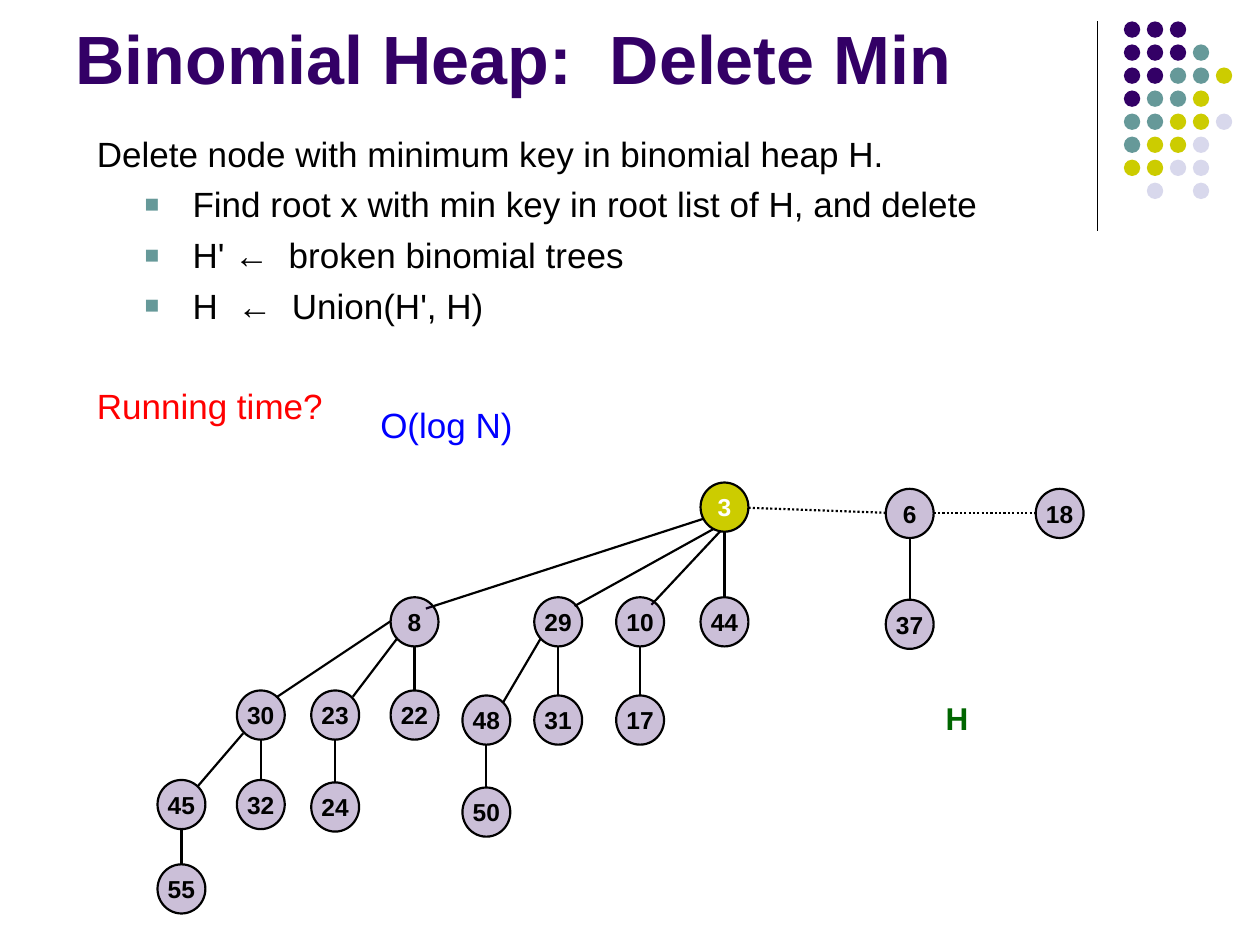
import lxml.etree
import pptx
import pptx.dml.color
import pptx.enum.dml
import pptx.enum.shapes
import pptx.enum.text
import pptx.oxml.ns
import pptx.util

Inches = pptx.util.Inches
Pt = pptx.util.Pt
qn = pptx.oxml.ns.qn
Align = pptx.enum.text.PP_ALIGN
Anchor = pptx.enum.text.MSO_ANCHOR

PURPLE, TEAL, LIME, PALE = "330066", "669999", "CCCC00", "D8D8EC"
BLACK, WHITE = "000000", "FFFFFF"
NODE_WIDTH, NODE_HEIGHT = 0.38, 0.39

# Corner ornament: one letter per dot
DOT_COLORS = {"p": PURPLE, "t": TEAL, "l": LIME, "w": PALE}
DOT_ROWS = ["ppp", "pppt", "ppttl", "pttl", "ttllw", "tllw", "llww", " w w"]

# Heap nodes: key -> left, top
NODES = {
    3: (5.56, 3.83), 6: (7.03, 3.88), 18: (8.22, 3.88), 37: (7.03, 4.76),
    8: (3.10, 4.74), 29: (4.24, 4.74), 10: (4.89, 4.74), 44: (5.56, 4.74),
    30: (1.88, 5.48), 23: (2.47, 5.48), 22: (3.10, 5.48),
    48: (3.67, 5.52), 31: (4.24, 5.52), 17: (4.89, 5.52),
    45: (1.25, 6.19), 32: (1.88, 6.19), 24: (2.47, 6.21),
    50: (3.67, 6.25), 55: (1.25, 6.86),
}
VERTICAL_EDGES = [(3, 44), (6, 37), (8, 22), (29, 31), (10, 17),
                  (30, 32), (23, 24), (48, 50), (45, 55)]
SLANTED_EDGES = [
    (4.56, 4.81, 5.75, 4.15), (5.17, 4.80, 5.76, 4.17),
    (3.38, 4.83, 5.73, 4.07), (1.57, 6.24, 1.93, 5.82),
    (2.80, 5.53, 3.15, 5.07), (2.20, 5.53, 3.10, 4.93),
    (3.99, 5.58, 4.29, 5.07),
]
ROOT_LINKS = [(5.94, 4.03, 7.03, 4.07), (7.41, 4.07, 8.22, 4.07)]


def color(value):
    return pptx.dml.color.RGBColor.from_string(value)


class HeapSlide:
    font_name = "Arial"

    def __init__(self, presentation):
        self.slide = presentation.slides.add_slide(presentation.slide_layouts[5])

    def run(self, paragraph, text, size, hex_color, bold=False):
        run = paragraph.add_run()
        run.text = text
        run.font.name = self.font_name
        run.font.size = Pt(size)
        run.font.bold = bold
        run.font.color.rgb = color(hex_color)

    def title(self, text, left, top, width, height):
        shape = self.slide.shapes.title
        shape.left, shape.top = Inches(left), Inches(top)
        shape.width, shape.height = Inches(width), Inches(height)
        shape.text_frame.vertical_anchor = Anchor.BOTTOM
        shape.text_frame.auto_size = pptx.enum.text.MSO_AUTO_SIZE.NONE
        paragraph = shape.text_frame.paragraphs[0]
        paragraph.alignment = Align.LEFT
        self.run(paragraph, text, 39, PURPLE, True)

    def text_frame(self, left, top, width, height, wrap=True):
        box = self.slide.shapes.add_textbox(
            Inches(left), Inches(top), Inches(width), Inches(height))
        box.text_frame.word_wrap = wrap
        return box.text_frame

    def label(self, text, box, size, hex_color, bold=False, align=Align.LEFT):
        frame = self.text_frame(*box)
        paragraph = frame.paragraphs[0]
        paragraph.alignment = align
        self.run(paragraph, text, size, hex_color, bold)

    def bullet(self, paragraph):
        properties = paragraph._p.get_or_add_pPr()
        properties.set("marL", str(Inches(0.76)))
        properties.set("indent", str(Inches(-0.38)))
        bullet_color = lxml.etree.SubElement(properties, qn("a:buClr"))
        lxml.etree.SubElement(bullet_color, qn("a:srgbClr"), val=TEAL)
        lxml.etree.SubElement(properties, qn("a:buSzPct"), val="70000")
        lxml.etree.SubElement(properties, qn("a:buFont"), typeface=self.font_name)
        lxml.etree.SubElement(properties, qn("a:buChar"), char="■")

    def line(self, x1, y1, x2, y2, width=1.25, dotted=False):
        connector = self.slide.shapes.add_connector(
            pptx.enum.shapes.MSO_CONNECTOR.STRAIGHT,
            Inches(x1), Inches(y1), Inches(x2), Inches(y2))
        connector.line.color.rgb = color(BLACK)
        connector.line.width = Pt(width)
        if dotted:
            connector.line.dash_style = pptx.enum.dml.MSO_LINE.ROUND_DOT
        lxml.etree.SubElement(connector._element.spPr, qn("a:effectLst"))

    def ellipse(self, left, top, width, height, fill):
        shape = self.slide.shapes.add_shape(
            pptx.enum.shapes.MSO_SHAPE.OVAL,
            Inches(left), Inches(top), Inches(width), Inches(height))
        shape.shadow.inherit = False
        shape.fill.solid()
        shape.fill.fore_color.rgb = color(fill)
        shape.line.fill.background()
        return shape

    def node(self, key, left, top, highlighted):
        shape = self.ellipse(left, top, NODE_WIDTH, NODE_HEIGHT,
                             LIME if highlighted else PURPLE)
        if not highlighted:
            fill = shape._element.spPr.find(qn("a:solidFill"))
            lxml.etree.SubElement(fill[0], qn("a:alpha"), val="25000")
        shape.line.color.rgb = color(BLACK)
        shape.line.width = Pt(1.25)
        frame = shape.text_frame
        frame.word_wrap = False
        frame.vertical_anchor = Anchor.MIDDLE
        paragraph = frame.paragraphs[0]
        paragraph.alignment = Align.CENTER
        self.run(paragraph, str(key), 14, WHITE if highlighted else BLACK, True)


def main():
    presentation = pptx.Presentation()
    presentation.slide_width = Inches(10)
    presentation.slide_height = Inches(7.5)
    heap = HeapSlide(presentation)

    # Corner rule and dots
    heap.line(8.71, 0.17, 8.71, 1.83, width=0.75)
    column_step, row_step = (9.65 - 8.92) / 4, (1.45 - 0.17) / 7
    for row, codes in enumerate(DOT_ROWS):
        for column, code in enumerate(codes):
            if code in DOT_COLORS:
                heap.ellipse(8.92 + column * column_step, 0.17 + row * row_step,
                             0.13, 0.13, DOT_COLORS[code])

    # Title and explanation
    heap.title("Binomial Heap:  Delete Min", 0.5, 0.13, 8.25, 0.7)
    frame = heap.text_frame(0.67, 1, 7.55, 2.75)
    heap.run(frame.paragraphs[0],
             "Delete node with minimum key in binomial heap H.", 20, BLACK)
    for step in ("Find root x with min key in root list of H, and delete",
                 "H' ←  broken binomial trees",
                 "H  ←  Union(H', H)"):
        paragraph = frame.add_paragraph()
        heap.bullet(paragraph)
        paragraph.space_before = Pt(5)
        heap.run(paragraph, step, 20, BLACK)
    question = frame.add_paragraph()
    question.space_before = Pt(33)
    heap.run(question, "Running time?", 20, "FF0000")
    heap.label("O(log N)", (2.92, 3.15, 1.26, 0.44, False), 20, "0000FF")

    # Heap edges
    for link in ROOT_LINKS:
        heap.line(*link, dotted=True)
    for edge in SLANTED_EDGES:
        heap.line(*edge)
    for parent, child in VERTICAL_EDGES:
        left, top = NODES[parent]
        center = left + NODE_WIDTH / 2
        heap.line(center, NODES[child][1], center, top + NODE_HEIGHT)

    # Heap nodes and name
    for key, (left, top) in NODES.items():
        heap.node(key, left, top, highlighted=key == 3)
    heap.label("H", (7.25, 5.5, 0.69, 0.4), 18, "006600", True, Align.CENTER)

    presentation.save("out.pptx")


if __name__ == "__main__":
    main()
